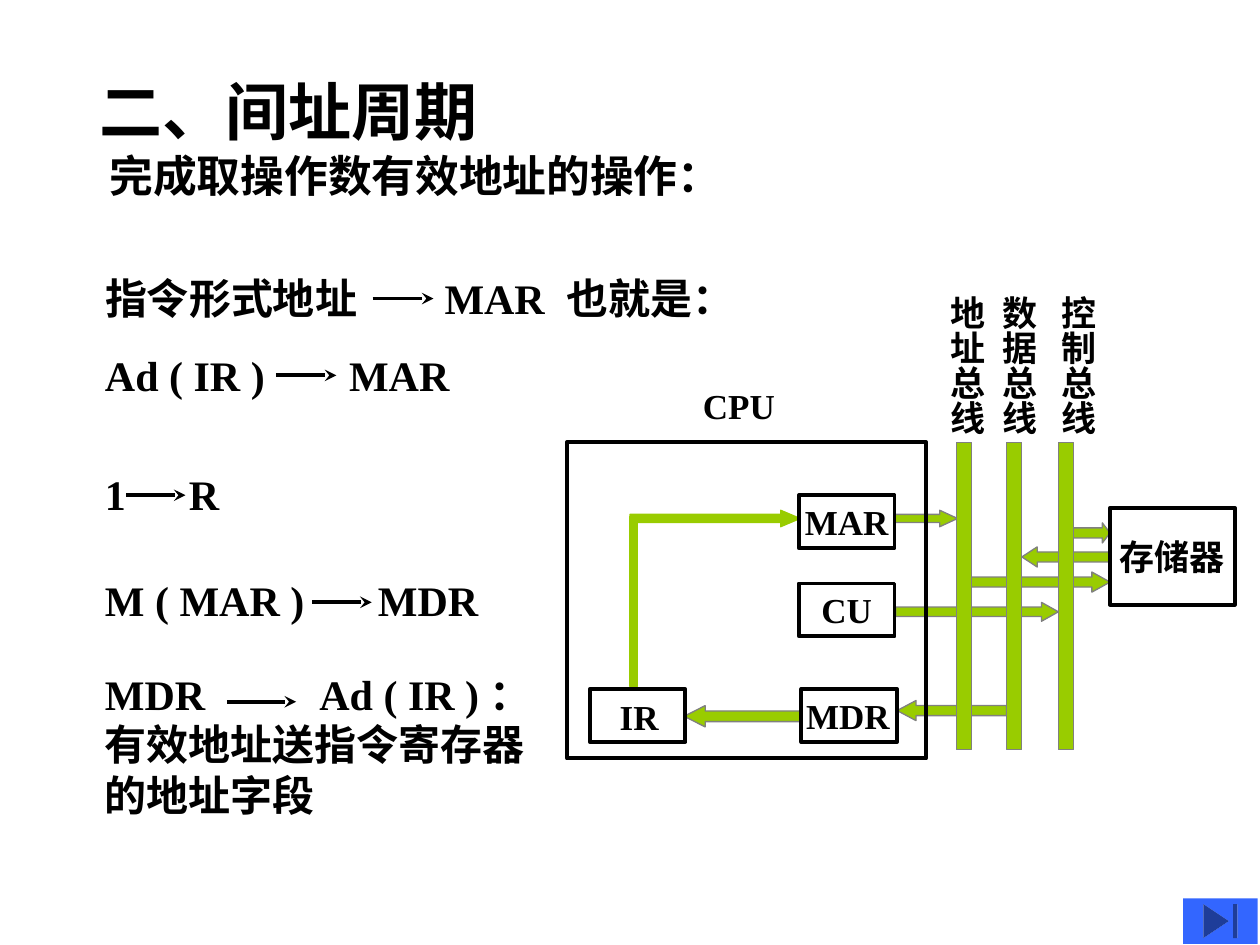
"""Build the slide on the indirect addressing cycle of a CPU."""
import pptx
import pptx.dml.color
import pptx.enum.shapes
import pptx.enum.text
import pptx.oxml
import pptx.oxml.ns
import pptx.util

Pt = pptx.util.Pt
SHAPES = pptx.enum.shapes.MSO_SHAPE
ANCHOR = pptx.enum.text.MSO_ANCHOR
ALIGN = pptx.enum.text.PP_ALIGN
FONT = "Times New Roman"
BLACK, GREEN, GREY, BLUE = "000000", "99CC00", "808080", "3366FF"


def color(value):
    return pptx.dml.color.RGBColor.from_string(value)


def add_child(parent, xml):
    namespace = pptx.oxml.ns.nsdecls("a")
    parent.append(pptx.oxml.parse_xml(xml.replace("/>", f" {namespace}/>", 1)))


def write_text(frame, text, size=24, sizes=(), tabs=(), inset=None, wrap=False,
               anchor=ANCHOR.TOP, align=ALIGN.LEFT):
    frame.word_wrap = wrap
    frame.vertical_anchor = anchor
    if inset is not None:
        frame.margin_left = frame.margin_right = Pt(inset)
        frame.margin_top = frame.margin_bottom = Pt(inset)
    for index, line in enumerate(text.split("\n")):
        paragraph = frame.add_paragraph() if index else frame.paragraphs[0]
        paragraph.alignment = align
        if tabs and "\t" in line:
            properties = paragraph._p.get_or_add_pPr()
            add_child(properties, "<a:tabLst/>")
            for position in tabs:
                add_child(properties[-1], f'<a:tab pos="{int(Pt(position))}" algn="l"/>')
        run = paragraph.add_run()
        run.text = line
        run.font.name = FONT
        run.font.size = Pt(sizes[index] if sizes else size)
        run.font.bold = True
        run.font.color.rgb = color(BLACK)


class Painter:
    def __init__(self, slide):
        self.slide = slide

    def text(self, box, text, vertical=False, **options):
        shape = self.slide.shapes.add_textbox(*map(Pt, box))
        write_text(shape.text_frame, text, **options)
        if vertical:
            shape.text_frame._txBody.bodyPr.set("vert", "eaVert")

    def shape(self, kind, box, fill=None, line=None, width=0.75):
        shape = self.slide.shapes.add_shape(kind, *map(Pt, box))
        shape.shadow.inherit = False
        if fill:
            shape.fill.solid()
            shape.fill.fore_color.rgb = color(fill)
        else:
            shape.fill.background()
        if line:
            shape.line.color.rgb = color(line)
            shape.line.width = Pt(width)
        else:
            shape.line.fill.background()
        return shape

    def frame(self, box, label=None):
        shape = self.shape(SHAPES.RECTANGLE, box, line=BLACK, width=2.25)
        if label:
            write_text(shape.text_frame, label, size=20,
                       anchor=ANCHOR.MIDDLE, align=ALIGN.CENTER)

    def block_arrow(self, box, head, left=False, line=GREY):
        shape = self.shape(SHAPES.RIGHT_ARROW, box, GREEN, line)
        shape.adjustments[0] = 0.5
        shape.adjustments[1] = head
        shape.rotation = 180 if left else 0

    def thin_arrow(self, start, end, y):
        connector = self.slide.shapes.add_connector(
            pptx.enum.shapes.MSO_CONNECTOR.STRAIGHT, Pt(start), Pt(y), Pt(end), Pt(y))
        connector.line.color.rgb = color(BLACK)
        connector.line.width = Pt(2.25)
        add_child(connector.line._get_or_add_ln(), '<a:tailEnd type="stealth"/>')
        add_child(connector._element.spPr, "<a:effectLst/>")


def draw_steps(painter):
    painter.text((57, 21, 346, 114.5), "二、间址周期\n 完成取操作数有效地址的操作：",
                 sizes=(36, 25), inset=0, anchor=ANCHOR.MIDDLE)
    steps = [
        ("指令形式地址\tMAR\t也就是：", (152, 370, 36.7), (194, 263.5), (213, 247.7, 170.6)),
        ("Ad ( IR )\tMAR", (197.3, 227, 34), (139.5,), (157.7, 192.2, 214.5)),
        ("1\tR", (265, 227, 34), (48,), (72, 106, 283)),
        ("M ( MAR )\tMDR", (325.5, 227, 34), (156,), (178.5, 212.4, 344.2)),
        ("MDR\tAd ( IR ) ：\n有效地址送指令寄存器\n的地址字段",
         (372.2, 271.5, 106), (122.5,), (129.6, 169.2, 401)),
    ]
    for text, box, tabs, arrow in steps:
        painter.text((60, *box), text, tabs=tabs, inset=0, wrap=True, anchor=ANCHOR.MIDDLE)
        painter.thin_arrow(*arrow)


def draw_diagram(painter):
    arrows = [
        ((512.6, 400.3, 62.6, 11.5), 0.94, True),
        ((391, 403.2, 67, 12.2), 0.98, True),
        ((511.9, 344.2, 92.9, 10.8), 0.89, False),
        ((511.2, 291.6, 36, 9.4), 1.08, False),
        ((583.9, 312.5, 50.4, 11.5), 0.76, True),
        ((554.4, 326.9, 79.9, 11.5), 0.9, False),
        ((609.1, 298.8, 25.2, 11.5), 0.38, False),
    ]
    for box, head, left in arrows:
        painter.block_arrow(box, head, left)
    painter.frame((324, 252.7, 205.2, 180.7))
    painter.text((394.6, 216, 55.4, 31.7), "CPU", size=20)

    buses = [("地址总线", 546.5, 529.9), ("数据总线", 575.3, 559.4), ("控制总线", 604.8, 593.3)]
    for name, bus_left, name_left in buses:
        painter.shape(SHAPES.RECTANGLE, (bus_left, 252.7, 8.6, 175.7), GREEN, GREY)
        painter.text((name_left, 162, 38.2, 86.4), name, vertical=True, size=20)

    for top, height in ((295.2, 58.3), (352.8, 39.6)):
        painter.shape(SHAPES.RECTANGLE, (360, top, 4.3, height), GREEN, GREEN)
    painter.block_arrow((360, 291.6, 97.2, 9.4), 1.18, line=GREEN)

    registers = [("MAR", 456.5, 283), ("CU", 456.5, 333.4),
                 (None, 457.9, 393.8), (None, 337, 393.8)]
    for name, left, top in registers:
        painter.frame((left, top, 54.7, 30.2), name)
    painter.text((453.6, 393.1, 62.6, 31), "MDR", size=20)
    painter.text((347, 393.8, 36.7, 31), "IR", size=20)
    painter.frame((634.3, 290.2, 71.3, 55.4), "存储器")


def main():
    presentation = pptx.Presentation()
    presentation.slide_width = Pt(720)
    presentation.slide_height = Pt(540)
    painter = Painter(presentation.slides.add_slide(presentation.slide_layouts[6]))
    draw_steps(painter)
    draw_diagram(painter)
    painter.shape(SHAPES.ACTION_BUTTON_END, (676.1, 513.4, 42.5, 25.9), BLUE)
    presentation.save("out.pptx")


if __name__ == "__main__":
    main()
